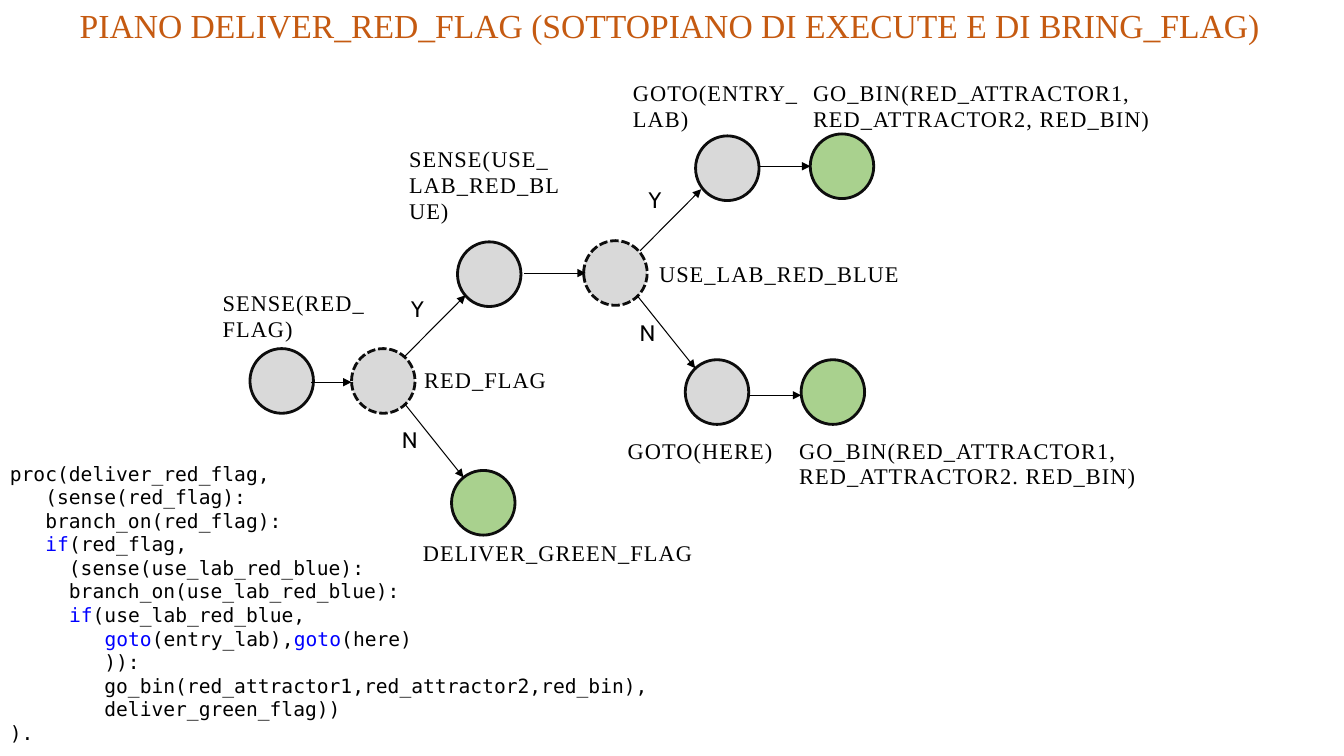
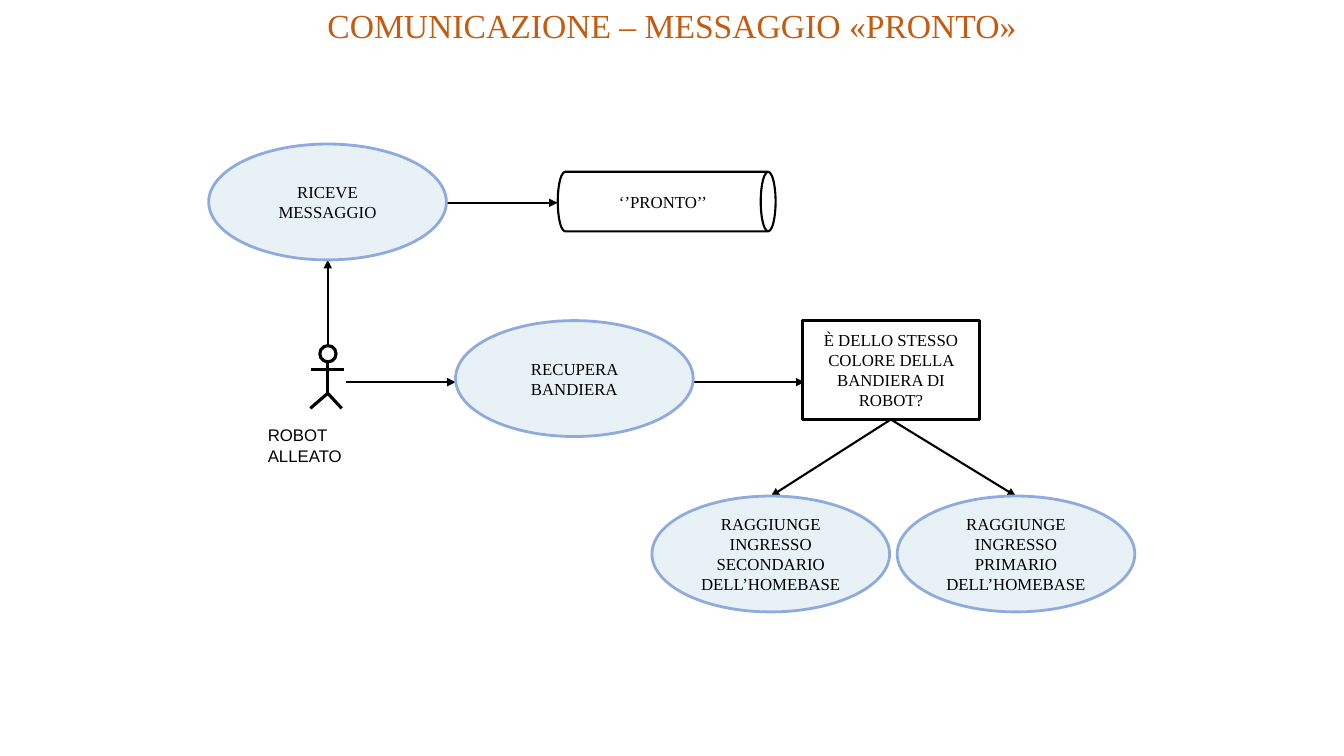
from dataclasses import dataclass

from lxml import etree
from pptx import Presentation
from pptx import util as u
from pptx.dml.color import RGBColor
from pptx.enum import dml, shapes, text
from pptx.oxml.ns import qn


@dataclass(frozen=True)
class Theme:
    title: str = "C55A11"
    ink: str = "000000"
    edge: str = "0D0D0D"
    key: str = "0000FF"
    grey: str = "D9D9D9"
    green: str = "A9D18E"
    pale: str = "E8F2F6"
    blue: str = "8FAADC"
    white: str = "FFFFFF"
    serif: str = "Times New Roman"
    sans: str = "Arial"
    mark: str = "Cabin"
    mono: str = "DejaVu Sans Mono"
    head: int = 24
    label: int = 16
    code: int = 14
    small: int = 12


T = Theme()
WIDE, HIGH = 33.87, 19.05
FORMS = shapes.MSO_SHAPE
CENTER = text.PP_ALIGN.CENTER

CODE = """\
proc(deliver_red_flag,
   (sense(red_flag):
   branch_on(red_flag):
   *if*(red_flag,
     (sense(use_lab_red_blue):
     branch_on(use_lab_red_blue):
     *if*(use_lab_red_blue,
        *goto*(entry_lab),*goto*(here)
        )):
        go_bin(red_attractor1,red_attractor2,red_bin),
        deliver_green_flag))
)."""


def tint(code):
    return RGBColor.from_string(code)


# Text: pieces between asterisks take the keyword colour
def write(frame, words, font=T.serif, size=T.small, color=T.ink,
          align=None, space=0, lead=None):
    frame.word_wrap = True
    for i, line in enumerate(words.split("\n")):
        para = frame.add_paragraph() if i else frame.paragraphs[0]
        para.alignment = align
        para.line_spacing = lead
        for j, piece in enumerate(line.split("*")):
            if not piece:
                continue
            run = para.add_run()
            run.text = piece
            run.font.name, run.font.size = font, u.Pt(size)
            run.font.color.rgb = tint(T.key if j % 2 else color)
            if space:
                run.font._element.set("spc", str(round(space * 100)))


def label(slide, words, x, y, w, h, inset=None, **form):
    box = slide.shapes.add_textbox(u.Cm(x), u.Cm(y), u.Cm(w), u.Cm(h))
    frame = box.text_frame
    if inset is not None:
        frame.margin_left, frame.margin_top = u.Cm(0.02), u.Cm(inset)
        frame.margin_right = frame.margin_bottom = 0
    frame.auto_size = text.MSO_AUTO_SIZE.SHAPE_TO_FIT_TEXT
    write(frame, words, **form)


# Shapes and lines
def shape(slide, kind, x, y, w, h, fill, edge, width=2.0, words=""):
    item = slide.shapes.add_shape(kind, u.Cm(x), u.Cm(y), u.Cm(w), u.Cm(h))
    item.shadow.inherit = False
    item.fill.solid()
    item.fill.fore_color.rgb = tint(fill)
    item.line.color.rgb = tint(edge)
    item.line.width = u.Pt(width)
    if words:
        item.text_frame.vertical_anchor = text.MSO_ANCHOR.MIDDLE
        write(item.text_frame, words, align=CENTER)
    return item


def line(slide, x1, y1, x2, y2, width, arrow=True):
    item = slide.shapes.add_connector(
        shapes.MSO_CONNECTOR.STRAIGHT, u.Cm(x1), u.Cm(y1), u.Cm(x2), u.Cm(y2))
    item.line.color.rgb = tint(T.ink)
    item.line.width = u.Pt(width)
    if arrow:
        etree.SubElement(item.line._get_or_add_ln(), qn("a:tailEnd"),
                         type="triangle")
    etree.SubElement(item._element.spPr, qn("a:effectLst"))


def title(slide, words, w=WIDE):
    label(slide, words, 0, 0, w, 1.28, size=T.head, color=T.title,
          align=CENTER)


# Plan graph: states, transitions and their names
def graph(slide, left, top):
    w, h = 1.6, 1.63
    nodes = [  # centre x, centre y, fill, is a branch
        (1.6, 7.7, T.grey, False), (4.16, 7.7, T.grey, True),
        (6.83, 5.01, T.grey, False), (10.01, 4.98, T.grey, True),
        (12.83, 2.34, T.grey, False), (15.72, 2.29, T.green, False),
        (12.57, 7.98, T.grey, False), (15.49, 7.98, T.green, False),
        (6.68, 10.77, T.green, False)]
    for x, y, fill, fork in nodes:
        node = shape(slide, FORMS.FLOWCHART_CONNECTOR, left + x - w / 2,
                     top + y - h / 2, w, h, fill, T.edge)
        if fork:
            node.line.dash_style = dml.MSO_LINE.SQUARE_DOT

    flat = [(2.35, 7.73, 1.01), (7.71, 4.98, 1.55),
            (13.6, 2.29, 1.32), (13.37, 8.06, 1.32)]
    steps = [(x, y, x + run, y) for x, y, run in flat]
    for x, y in [(4.69, 7.09), (10.63, 4.42)]:
        steps.append((x, y, x + 1.54, y - 1.55))
    for x, y in [(4.71, 8.29), (10.55, 5.54)]:
        steps.append((x, y, x + 1.47, y + 1.84))
    for x1, y1, x2, y2 in steps:
        line(slide, left + x1, top + y1, left + x2, top + y2, 0.75)

    names = [  # words, x, y, width, rows
        ("SENSE(RED_FLAG)", 0.09, 5.36, 3.86, 2),
        ("RED_FLAG", 5.17, 7.29, 3.86, 1),
        ("SENSE(USE_LAB_RED_BLUE)", 4.79, 1.73, 3.84, 3),
        ("USE_LAB_RED_BLUE", 11.09, 4.63, 6.55, 1),
        ("GOTO(ENTRY_LAB)", 10.43, 0.06, 4.32, 2),
        ("GO_BIN(RED_ATTRACTOR1, RED_ATTRACTOR2, RED_BIN)",
         14.97, 0.06, 9.07, 2),
        ("GOTO(HERE)", 10.3, 9.07, 4.32, 1),
        ("GO_BIN(RED_ATTRACTOR1, RED_ATTRACTOR2. RED_BIN)",
         14.62, 9.07, 9.07, 2),
        ("DELIVER_GREEN_FLAG", 5.14, 11.64, 7.49, 1)]
    for words, x, y, wide, rows in names:
        label(slide, words, left + x, top + y, wide, 0.1 + 0.69 * rows,
              inset=0.08, size=T.label, space=0.8, lead=0.96)

    marks = [("Y", 4.84, 5.47), ("Y", 10.83, 2.72),
             ("N", 4.61, 8.79), ("N", 10.6, 6.08)]
    for words, x, y in marks:
        wide, space = (0.3, 0.6) if words == "Y" else (0.51, 1.8)
        label(slide, words, left + x, top + y, wide, 0.8, inset=0.06,
              font=T.mark, size=T.label, space=space)


# Stick figure with its caption
def actor(slide, left, top):
    mid = left + 0.44
    limbs = [(0.44, 0.38, 0.44, 1.2), (0.44, 1.2, 0, 1.58),
             (0.44, 1.2, 0.79, 1.58), (0.03, 0.61, 0.84, 0.61)]
    for x1, y1, x2, y2 in limbs:
        line(slide, left + x1, top + y1, left + x2, top + y2, 2.25, False)
    shape(slide, FORMS.OVAL, mid - 0.2, top, 0.41, 0.41, T.white, T.ink, 2.25)
    label(slide, "ROBOT\u0020ALLEATO".replace("\u0020", " "),
          left - 1.32, top + 1.88, 3.48, 0.76, font=T.sans)


# Message flow: actor, actions, message and question
def flow(slide, left, top):
    actor(slide, left + 2.82, top + 5.21)
    steps = [(3.26, 5.21, 3.26, 3.05), (6.25, 1.61, 9.05, 1.61),
             (3.71, 6.13, 6.48, 6.13), (12.5, 6.13, 15.27, 6.13),
             (17.45, 7.07, 14.43, 9), (17.45, 7.07, 20.6, 9)]
    for x1, y1, x2, y2 in steps:
        line(slide, left + x1, top + y1, left + x2, top + y2, 1.5)

    acts = [("RICEVE MESSAGGIO", 0.26, 0.13),
            ("RECUPERA BANDIERA", 6.48, 4.58),
            ("RAGGIUNGE INGRESSO SECONDARIO DELL’HOMEBASE", 11.43, 9),
            ("RAGGIUNGE INGRESSO PRIMARIO DELL’HOMEBASE", 17.61, 9)]
    for words, x, y in acts:
        shape(slide, FORMS.OVAL, left + x, top + y, 5.99, 2.92,
              T.pale, T.blue, words=words)
    shape(slide, FORMS.RECTANGLE, left + 15.22, top + 4.58, 4.47, 2.49,
          T.white, T.ink,
          words="È DELLO STESSO COLORE DELLA BANDIERA DI ROBOT?")

    # The can lies on its side, with level text
    w, h = 1.5, 5.49
    can = shape(slide, FORMS.CAN, left + 11.8 - w / 2, top + 1.58 - h / 2,
                w, h, T.white, T.ink, 1.5, "‘’PRONTO’’")
    can.rotation = 90
    can.text_frame._txBody.bodyPr.set("vert", "vert270")


def main():
    deck = Presentation()
    deck.slide_width, deck.slide_height = u.Cm(WIDE), u.Cm(HIGH)
    blank = deck.slide_layouts[6]

    plan = deck.slides.add_slide(blank)
    title(plan, "PIANO DELIVER_RED_FLAG (SOTTOPIANO DI EXECUTE E DI "
                "BRING_FLAG)", w=33.75)
    graph(plan, 5.5, 1.9)
    label(plan, CODE, 0, 11.51, 17, 7.44, font=T.mono, size=T.code)

    talk = deck.slides.add_slide(blank)
    title(talk, "COMUNICAZIONE – MESSAGGIO «PRONTO»")
    flow(talk, 5, 3.5)

    deck.save("out.pptx")


if __name__ == "__main__":
    main()
